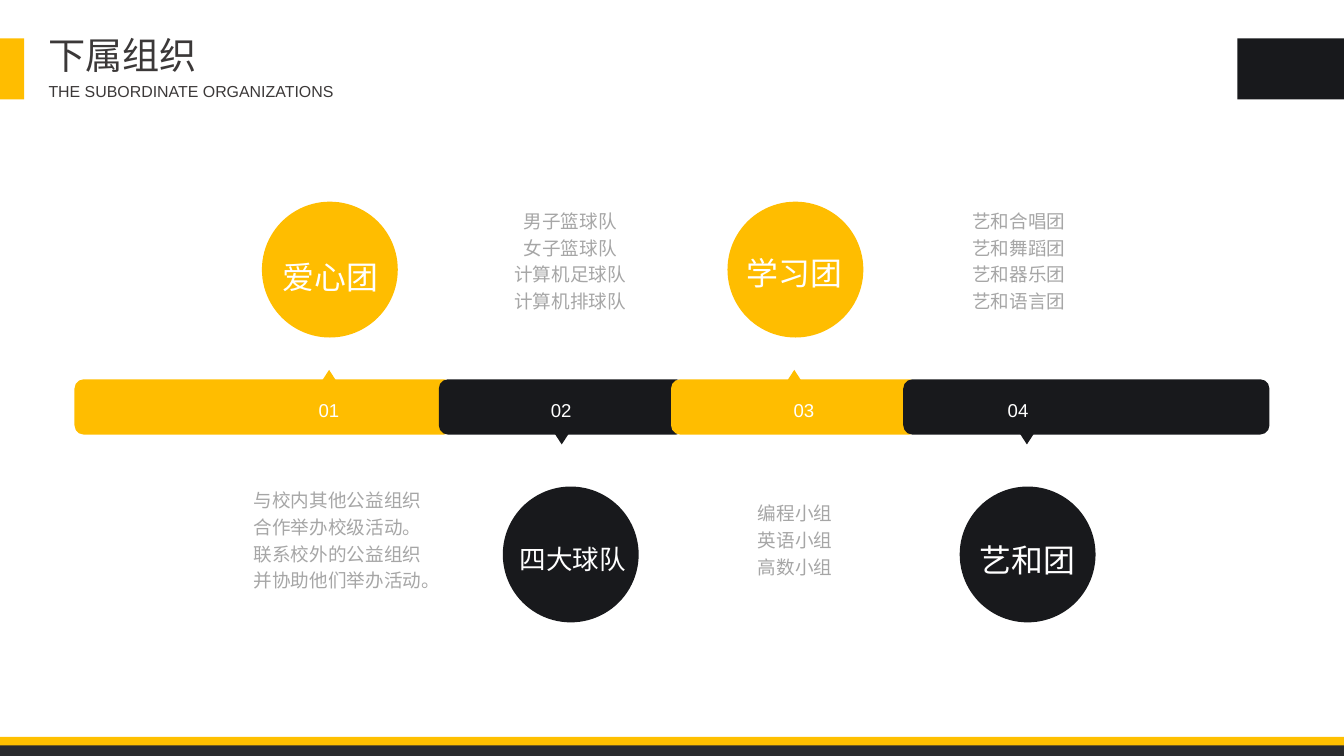
"""Build the slide on the four subordinate organizations along a timeline bar."""
from lxml.etree import SubElement
from pptx import Presentation
from pptx.dml.color import RGBColor
from pptx.enum.shapes import MSO_SHAPE
from pptx.enum.text import MSO_AUTO_SIZE, PP_ALIGN
from pptx.oxml.ns import qn
from pptx.util import Cm, Pt

COLORS = {"yellow": "FFBD00", "black": "18191C", "stripe": "FFC000",
          "footer": "2A2B2D", "title": "3B3838", "note": "A6A6A6", "white": "FFFFFF"}
CJK = "Noto Sans CJK SC"
PLAIN = {"margin_left": 0, "margin_right": 0, "margin_top": 0, "margin_bottom": 0,
         "word_wrap": True, "auto_size": MSO_AUTO_SIZE.SHAPE_TO_FIT_TEXT}
HEADING = {"margin_left": Cm(0.25), "margin_right": Cm(0.25), "margin_top": Cm(0.13),
           "margin_bottom": Cm(0.13), "word_wrap": False,
           "auto_size": MSO_AUTO_SIZE.SHAPE_TO_FIT_TEXT}
CENTERED = {"alignment": PP_ALIGN.CENTER, "line_spacing": 1.2}

prs = Presentation()
prs.slide_width, prs.slide_height = Cm(35.71), Cm(20.09)
s = prs.slides.add_slide(prs.slide_layouts[6])


def add_block(kind, box, color):
    sp = s.shapes.add_shape(kind, *map(Cm, box))
    sp.shadow.inherit = False
    sp.fill.solid()
    sp.fill.fore_color.rgb = RGBColor.from_string(COLORS[color])
    sp.line.fill.background()
    return sp


def add_text(box, lines, size, color, frame=PLAIN, para=CENTERED, font="Arial"):
    tf = s.shapes.add_textbox(*map(Cm, box)).text_frame
    for name, value in frame.items():
        setattr(tf, name, value)
    for i, line in enumerate(lines):
        p = tf.paragraphs[0] if i == 0 else tf.add_paragraph()
        for name, value in para.items():
            setattr(p, name, value)
        r = p.add_run()
        r.text = line
        r.font.size = Pt(size)
        r.font.name = font
        r.font.color.rgb = RGBColor.from_string(COLORS[color])
        SubElement(r.font._element, qn("a:ea"), typeface=CJK)


for box, color in [((0, 19.69, 35.71, 0.4), "footer"), ((0, 19.58, 35.71, 0.23), "stripe"),
                   ((0, 1.02, 0.64, 1.62), "yellow"), ((32.88, 1.02, 2.83, 1.62), "black")]:
    add_block(MSO_SHAPE.RECTANGLE, box, color)

add_text((1.04, 0.74, 4.52, 1.47), ["下属组织"], 28, "title", HEADING, {}, CJK)
add_text((1.04, 2.03, 8.2, 0.79), ["THE SUBORDINATE ORGANIZATIONS"], 12, "title", HEADING, {})

groups = [
    {"bar": (1.98, 10.06), "circle": 6.96, "number": 6.71,
     "name": "爱心团", "name_box": (7.26, 6.65, 3.05, 1.12), "size": 24,
     "note_box": (6.71, 12.88, 4.52, 2.82),
     "notes": ["与校内其他公益组织合作举办校级活动。", "联系校外的公益组织并协助他们举办活动。"]},
    {"bar": (11.66, 6.55), "circle": 13.36, "number": 12.88,
     "name": "四大球队", "name_box": (13.69, 14.25, 3.07, 0.94), "size": 20,
     "note_box": (13.13, 5.46, 4.04, 2.79),
     "notes": ["男子篮球队", "女子篮球队", "计算机足球队", "计算机排球队"]},
    {"bar": (17.83, 6.58), "circle": 19.33, "number": 19.33,
     "name": "学习团", "name_box": (19.69, 6.55, 2.84, 1.12), "size": 24,
     "note_box": (19.1, 13.23, 4.06, 2.08),
     "notes": ["编程小组", "英语小组", "高数小组"]},
    {"bar": (24, 9.73), "circle": 25.5, "number": 25.02,
     "name": "艺和团", "name_box": (25.91, 14.17, 2.77, 1.12), "size": 24,
     "note_box": (25.04, 5.46, 4.06, 2.79),
     "notes": ["艺和合唱团", "艺和舞蹈团", "艺和器乐团", "艺和语言团"]},
]

for i, g in enumerate(groups):
    below = i % 2 == 1
    color = "black" if below else "yellow"
    left, width = g["bar"]
    add_block(MSO_SHAPE.ROUNDED_RECTANGLE, (left, 10.08, width, 1.47), color)
    pointer = add_block(MSO_SHAPE.ISOSCELES_TRIANGLE,
                        (8.53 + 6.18 * i, 11.48 if below else 9.83, 0.43, 0.33), color)
    pointer.rotation = 180 if below else 0
    add_block(MSO_SHAPE.OVAL, (g["circle"], 12.93 if below else 5.36, 3.61, 3.61), color)
    add_text((g["number"], 10.49, 4.06, 0.66), [f"{i + 1:02}"], 14, "white")
    add_text(g["name_box"], [g["name"]], g["size"], "white")
    add_text(g["note_box"], g["notes"], 14, "note")

prs.save("out.pptx")
